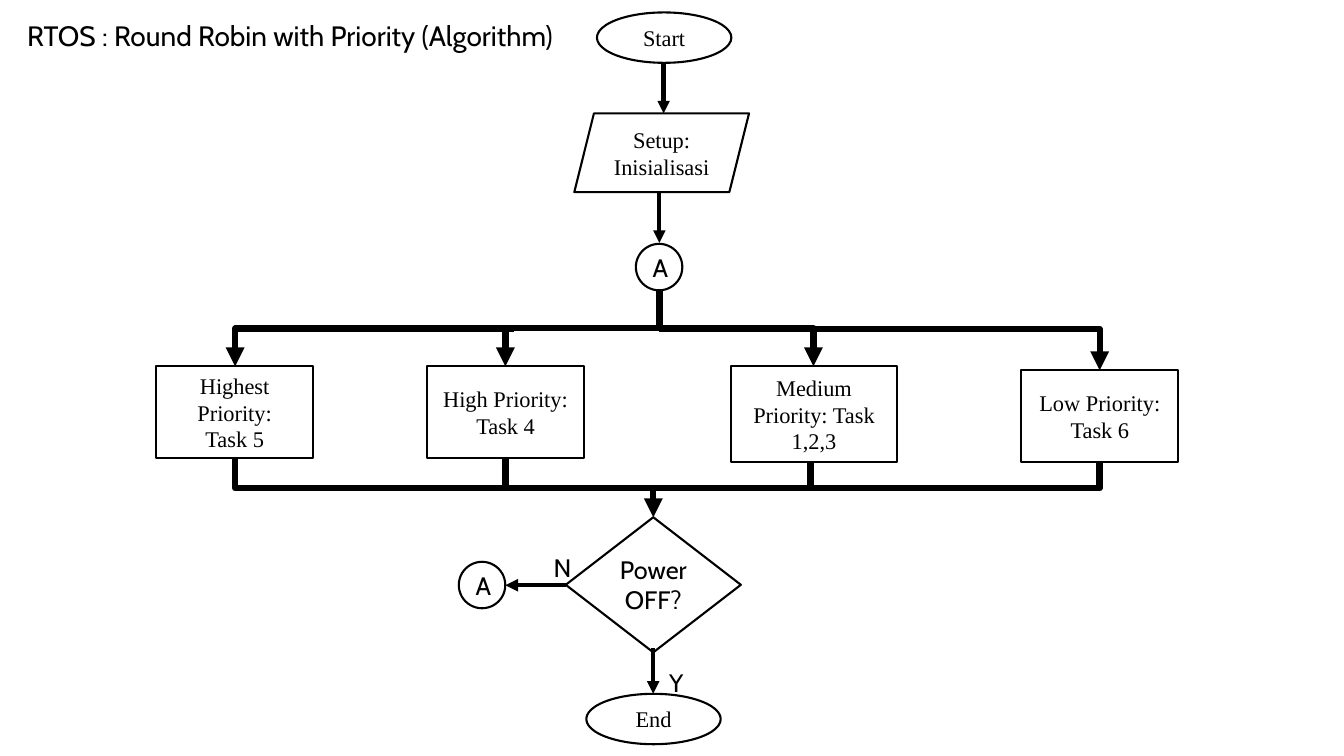
from lxml import etree
from pptx import Presentation
from pptx.dml.color import RGBColor
from pptx.enum import shapes, text
from pptx.oxml import ns
from pptx.util import Pt

BLACK, WHITE = "000000", "FFFFFF"
SERIF, SANS = "Times New Roman", "Cabin"
Shape, Line = shapes.MSO_SHAPE, shapes.MSO_CONNECTOR
color = RGBColor.from_string

presentation = Presentation()
presentation.slide_width, presentation.slide_height = Pt(960), Pt(540)
slide = presentation.slides.add_slide(presentation.slide_layouts[6])


def add_label(kind, label, box, font, size, align=text.PP_ALIGN.CENTER, wrap=True):
    """Add an outlined shape with text, or a plain text box when kind is None."""
    box = [Pt(length) for length in box]
    if kind is None:
        shape = slide.shapes.add_textbox(*box)
    else:
        shape = slide.shapes.add_shape(kind, *box)
        shape.shadow.inherit = False
        shape.fill.solid()
        shape.fill.fore_color.rgb = color(WHITE)
        shape.line.color.rgb = color(BLACK)
        shape.line.width = Pt(1.5)
    frame = shape.text_frame
    frame.word_wrap = wrap
    frame.vertical_anchor = text.MSO_ANCHOR.MIDDLE
    frame.text = label
    for paragraph in frame.paragraphs:
        paragraph.alignment = align
        for run in paragraph.runs:
            run.font.name = font
            run.font.size = Pt(size)
            run.font.color.rgb = color(BLACK)
    return shape


def add_line(kind, start, end, width, arrow=True):
    connector = slide.shapes.add_connector(kind, *[Pt(length) for length in (*start, *end)])
    connector.line.color.rgb = color(BLACK)
    connector.line.width = Pt(width)
    properties = connector._element.spPr
    if arrow:
        outline = properties.find(ns.qn("a:ln"))
        etree.SubElement(outline, ns.qn("a:tailEnd")).set("type", "triangle")
    etree.SubElement(properties, ns.qn("a:effectLst"))
    return connector


title = add_label(None, "RTOS : Round Robin with Priority (Algorithm)",
                  (12.24, 8.64, 828, 36), SANS, 20, text.PP_ALIGN.LEFT)
title.text_frame.paragraphs[0].line_spacing = 0.9

# Corner lines run horizontally along a bus, then vertically to a task
top_bus, bottom_bus = 234.6, 348.8
corners = [
    ((367, top_bus), (168, 261.7), True),
    ((471, top_bus), (581, 261.7), True),
    ((577.4, top_bus + 0.4), (785.5, 264.5), True),
    ((466.6, bottom_bus), (168, 327.5), False),
    ((464, bottom_bus), (579, 329.5), False),
    ((567, bottom_bus), (785.5, 329.5), False),
]
for start, end, arrow in corners:
    corner = add_line(Line.ELBOW, start, end, 4.5, arrow)
    corner._element.spPr.prstGeom.set("prst", "bentConnector2")

# Step lines leave and arrive vertically: an elbow turned by a quarter
for (left, top), (right, bottom) in [((471, 207.4), (361, 261.7)),
                                     ((361, 327.5), (466.6, 369.5))]:
    leftward = right < left
    middle_x, middle_y = (left + right) / 2, (top + bottom) / 2
    half_width = (bottom - top) / 2 * (1 if leftward else -1)
    half_height = abs(right - left) / 2
    step = add_line(Line.ELBOW, (middle_x - half_width, middle_y - half_height),
                    (middle_x + half_width, middle_y + half_height), 4.5)
    step._element.spPr.xfrm.set("rot", str((90 if leftward else 270) * 60000))

nodes = [
    (Shape.OVAL, "Start", (426.4, 8.9, 96, 36), SERIF, 16),
    (Shape.PARALLELOGRAM, "Setup: Inisialisasi", (410.2, 81, 124.8, 56.2), SERIF, 16),
    (Shape.RECTANGLE, "Highest Priority:\nTask 5", (111.5, 261.5, 112.3, 65.8), SERIF, 16),
    (Shape.RECTANGLE, "High Priority:\vTask 4", (305, 261.5, 112.3, 65.8), SERIF, 16),
    (Shape.RECTANGLE, "Medium Priority: Task 1,2,3", (522, 261.5, 119, 68.5), SERIF, 16),
    (Shape.RECTANGLE, "Low Priority: Task 6", (729.5, 264.4, 112.3, 65.8), SERIF, 16),
    (Shape.OVAL, "A", (454.2, 174.2, 33.2, 33.2), SANS, 18),
    (Shape.DIAMOND, "Power OFF?", (404.1, 369.5, 125.1, 96.5), SANS, 18),
    (Shape.OVAL, "End", (418.8, 495.6, 96, 36), SERIF, 16),
    (Shape.OVAL, "A", (327.7, 401.3, 33.2, 33.2), SANS, 18),
]
for node in nodes:
    add_label(*node)

for start, end in [((474, 45), (474, 81)), ((471, 137.5), (471, 173.5)),
                   ((466.6, 463), (466.6, 495.5)), ((404, 418), (361, 418))]:
    add_line(Line.STRAIGHT, start, end, 3)

for answer, box in [("Y", (470.9, 473, 24.5, 29)), ("N", (388, 391, 27.4, 29))]:
    add_label(None, answer, box, SANS, 18, wrap=False)

presentation.save("out.pptx")
